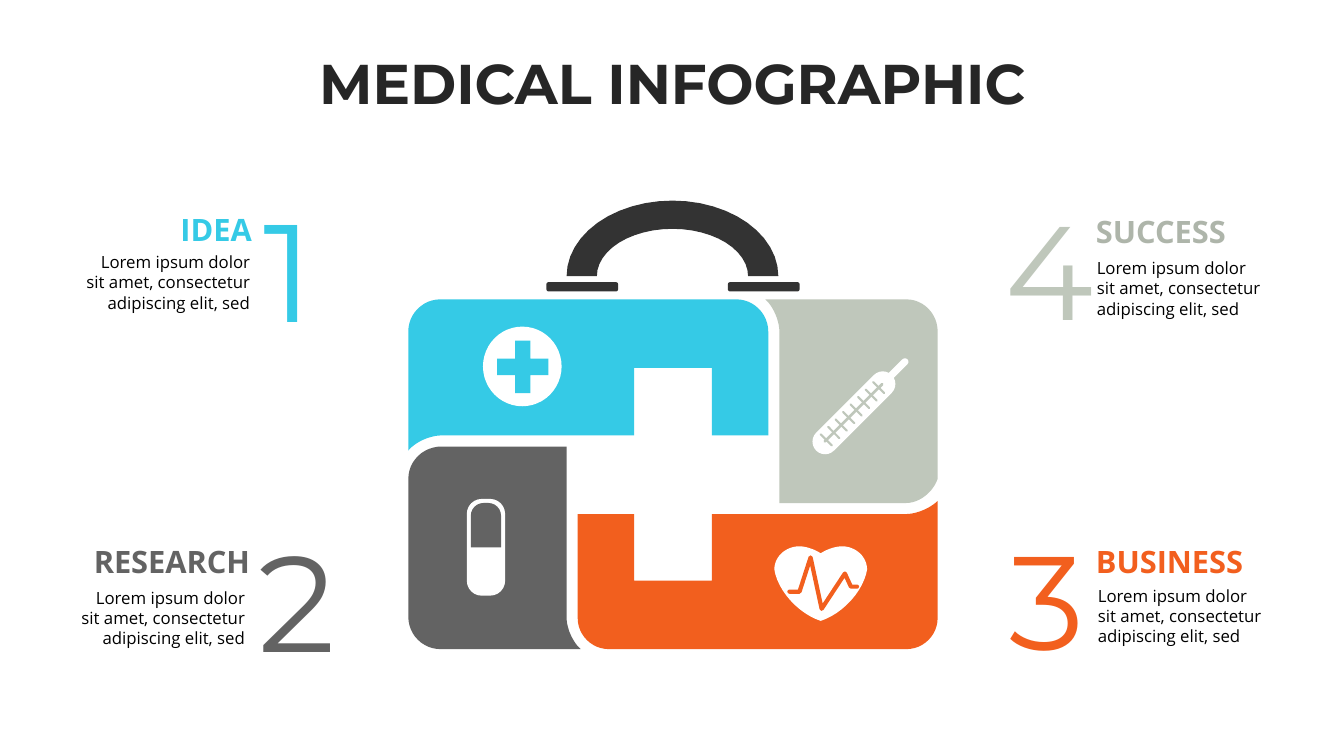
from dataclasses import dataclass
from math import cos, pi, sin
from lxml.etree import SubElement
from pptx import Presentation
from pptx.dml.color import RGBColor
from pptx.enum.shapes import MSO_CONNECTOR, MSO_SHAPE
from pptx.enum.text import PP_ALIGN
from pptx.oxml.ns import qn
from pptx.util import Inches, Pt


@dataclass(frozen=True)
class Theme:
    cyan: str = "35CAE6"
    gray: str = "636363"
    orange: str = "F25F1E"
    sage: str = "BFC7BB"
    moss: str = "AEB5AA"
    dark: str = "333333"
    ink: str = "262626"
    black: str = "000000"
    white: str = "FFFFFF"
    head: str = "Montserrat"
    text: str = "Open Sans"
    title: int = 40
    label: int = 22
    body: int = 12
    pulse: float = 3
    stem: float = 2
    tick: float = 1.5


THEME = Theme()
LOREM = "Lorem ipsum dolor sit amet, consectetur adipiscing elit, sed"


def paint(shape, color):
    shape.shadow.inherit = False
    shape.fill.solid()
    shape.fill.fore_color.rgb = RGBColor.from_string(color)
    shape.line.fill.background()


def write(slide, box, words, color, align=PP_ALIGN.LEFT, inset=(0, 0), **form):
    frame = slide.shapes.add_textbox(*map(Inches, box)).text_frame
    side, edge = map(Inches, inset)
    format = {"word_wrap": True, "margin_left": side, "margin_right": side,
              "margin_top": edge, "margin_bottom": edge}
    for name, value in format.items():
        setattr(frame, name, value)
    line = frame.paragraphs[0]
    line.alignment = align
    run = line.add_run()
    run.text = words
    for name, value in form.items():
        setattr(run.font, name, value)
    run.font.color.rgb = RGBColor.from_string(color)


def trace(steps, count=12):
    points = []
    for step in steps:
        if len(step) == 2:
            points.append(step)
            continue
        (ax, ay), (cx, cy, ex, ey) = points[-1], step
        for turn in range(1, count + 1):
            angle = pi / 2 * turn / count
            near, far = sin(angle), 1 - cos(angle)
            points.append((ax + (cx - ax) * near + (ex - cx) * far,
                           ay + (cy - ay) * near + (ey - cy) * far))
    return points


def outline(slide, x, y, steps, close=True):
    points = [(Inches(x + px), Inches(y + py)) for px, py in trace(steps)]
    form = slide.shapes.build_freeform(*points[0])
    form.add_line_segments(points[1:], close=close)
    return form.convert_to_shape()


def block(slide, kind, box, color, round=None, turn=0):
    shape = slide.shapes.add_shape(kind, *map(Inches, box))
    paint(shape, color)
    if round is not None:
        shape.adjustments[0] = round
    shape.rotation = turn


def stroke(slide, ends, color, width):
    line = slide.shapes.add_connector(MSO_CONNECTOR.STRAIGHT, *map(Inches, ends))
    line.line.color.rgb = RGBColor.from_string(color)
    line.line.width = Pt(width)
    line.line._get_or_add_ln().set("cap", "rnd")
    SubElement(line._element.spPr, qn("a:effectLst"))


def panels(slide, x, y):
    parts = [
        (THEME.cyan, [(3.57, 1.35), (3.57, .32), (3.57, 0, 3.25, 0), (.32, 0), (0, 0, 0, .32),
                      (0, 1.5), (.12, 1.35, .33, 1.35), (2.24, 1.35), (2.24, .68),
                      (3.01, .68), (3.01, 1.35)]),
        (THEME.gray, [(.33, 1.46), (0, 1.46, 0, 1.78), (0, 3.15), (0, 3.47, .32, 3.47),
                      (1.71, 3.47), (1.57, 3.35, 1.57, 3.16), (1.57, 1.46)]),
        (THEME.sage, [(4.94, 2.02), (5.17, 2.02, 5.25, 1.78), (5.25, .32), (5.25, 0, 4.94, 0),
                      (3.54, 0), (3.68, .12, 3.68, .32), (3.68, 2.02)]),
        (THEME.orange, [(1.99, 3.47), (4.94, 3.47), (5.25, 3.47, 5.25, 3.16), (5.25, 2),
                        (5.12, 2.13, 4.94, 2.13), (3.01, 2.13), (3.01, 2.79), (2.24, 2.79),
                        (2.24, 2.13), (1.68, 2.13), (1.68, 3.16), (1.68, 3.47, 1.99, 3.47)]),
    ]
    for color, steps in parts:
        paint(outline(slide, x, y, steps), color)


def handle(slide, x, y):
    arch = [(0, .75), (0, 0, 1.05, 0), (2.1, 0, 2.1, .75), (1.8, .75),
            (1.8, .28, 1.05, .28), (.3, .28, .3, .75)]
    paint(outline(slide, x, y, arch), THEME.dark)
    for left in (-.2, 1.6):
        block(slide, MSO_SHAPE.ROUNDED_RECTANGLE, (x + left, y + .81, .71, .09), THEME.dark, .2)


def badge(slide, x, y):
    block(slide, MSO_SHAPE.OVAL, (x, y, .78, .79), THEME.white)
    block(slide, MSO_SHAPE.CROSS, (x + .14, y + .14, .51, .52), THEME.cyan, .35)


def pill(slide, x, y):
    block(slide, MSO_SHAPE.ROUNDED_RECTANGLE, (x, y, .38, .96), THEME.white, .39)
    block(slide, MSO_SHAPE.ROUND_2_SAME_RECTANGLE, (x + .04, y + .04, .3, .44), THEME.gray, .42)


def heart(slide, x, y):
    steps = [(.46, .09), (.36, .02, .25, .02), (0, .02, 0, .25), (.06, .63, .46, .76),
             (.86, .63, .92, .25), (.92, .02, .67, .02), (.56, .02, .46, .09)]
    paint(outline(slide, x, y, steps), THEME.white)
    beat = [(.15, .47), (.25, .47), (.36, .13), (.47, .64), (.7, .29), (.76, .42), (.82, .42)]
    pulse = outline(slide, x, y, beat, close=False)
    pulse.shadow.inherit = False
    pulse.fill.background()
    pulse.line.color.rgb = RGBColor.from_string(THEME.orange)
    pulse.line.width = Pt(THEME.pulse)
    edge = pulse.line._get_or_add_ln()
    edge.set("cap", "rnd")
    SubElement(edge, qn("a:round"))


def gauge(slide, x, y):
    for box in ((-.1, .4, 1.06, .25), (.67, .08, .34, .07)):
        left, top, wide, high = box
        block(slide, MSO_SHAPE.ROUNDED_RECTANGLE, (x + left, y + top, wide, high),
              THEME.white, .5, -45)
    stroke(slide, (x + .14, y + .81, x + .71, y + .24), THEME.sage, THEME.stem)
    for index in range(8):
        left, top = x + .1 + index * .52 / 7, y + .74 - index * .52 / 7
        stroke(slide, (left, top, left + .11, top + .11), THEME.sage, THEME.tick)


def entry(slide, box, digit, label, colors, size, spots, align):
    x, y = box
    hue, tint = colors
    (nx, ny), (lx, ly, wide), (bx, by) = spots
    write(slide, (x + nx, y + ny, 1.59, 2), digit, hue, name=THEME.head, size=Pt(size))
    write(slide, (x + lx, y + ly, wide, .51), label, tint,
          name=THEME.text, size=Pt(THEME.label), bold=True)
    write(slide, (x + bx, y + by, 1.85, .71), LOREM, THEME.black, align, (.1, .05),
          name=THEME.text, size=Pt(THEME.body))


def main():
    deck = Presentation()
    deck.slide_width, deck.slide_height = Inches(13.33), Inches(7.5)
    slide = deck.slides.add_slide(deck.slide_layouts[6])
    write(slide, (1.4, .48, 10.54, .73), "MEDICAL INFOGRAPHIC", THEME.ink, PP_ALIGN.CENTER,
          name=THEME.head, size=Pt(THEME.title), bold=True)
    panels(slide, 4.05, 2.97)
    handle(slide, 5.62, 1.99)
    badge(slide, 4.79, 3.24)
    pill(slide, 4.63, 4.95)
    heart(slide, 7.68, 5.4)
    gauge(slide, 8.04, 3.57)
    left, right = PP_ALIGN.RIGHT, PP_ALIGN.LEFT
    items = [
        ((.73, 1.82), "1", "IDEA", (THEME.cyan, THEME.cyan), 99,
         ((1.88, 0), (1.06, .27, .87), (0, .63)), left),
        ((.68, 5.13), "2", "RESEARCH", (THEME.gray, THEME.gray), 97,
         ((1.88, 0), (.25, .25, 1.71), (0, .65)), left),
        ((10, 5.13), "3", "BUSINESS", (THEME.orange, THEME.orange), 95,
         ((.01, 0), (.87, .25, 1.62), (.79, .63)), right),
        ((10, 1.86), "4", "SUCCESS", (THEME.sage, THEME.moss), 95,
         ((-.03, 0), (.87, .25, 1.48), (.78, .65)), right),
    ]
    for item in items:
        entry(slide, *item)
    deck.save("out.pptx")


if __name__ == "__main__":
    main()
